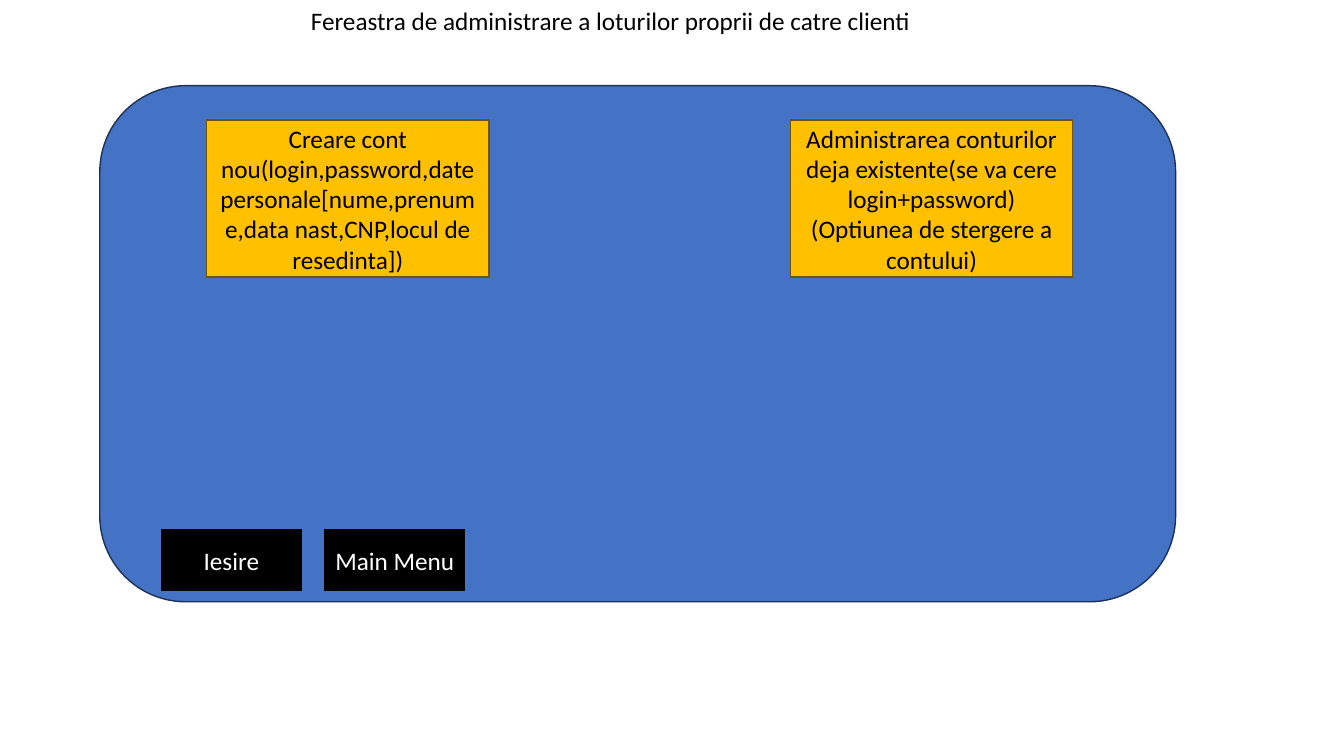
import pptx
import pptx.dml.color
import pptx.enum.shapes
import pptx.enum.text
import pptx.util

PX = 9144  # EMU per px, 100 px to the inch
HUES = {
    "black": "000000", "white": "FFFFFF", "blue": "4472C4",
    "navy": "1E3256", "gold": "FFC000", "brown": "705400",
}
KINDS = pptx.enum.shapes.MSO_SHAPE

deck = pptx.Presentation()
deck.slide_width = 1333 * PX
deck.slide_height = 750 * PX
slide = deck.slides.add_slide(deck.slide_layouts[6])


def rgb(hue):
    return pptx.dml.color.RGBColor.from_string(HUES[hue])


def write(text, box, kind=None, fill=None, line=None, hue="black"):
    """Add centred text in a shape of the given kind, or in a text box."""
    place = [n * PX for n in box]
    if kind is None:
        shape = slide.shapes.add_textbox(*place)
    else:
        shape = slide.shapes.add_shape(kind, *place)
        shape.shadow.inherit = False
        shape.fill.solid()
        shape.fill.fore_color.rgb = rgb(fill)
        shape.line.color.rgb = rgb(line)
        shape.line.width = pptx.util.Pt(1)
        shape.text_frame.vertical_anchor = pptx.enum.text.MSO_ANCHOR.MIDDLE
    frame = shape.text_frame
    frame.word_wrap = True
    frame.text = text
    for para in frame.paragraphs:
        para.alignment = pptx.enum.text.PP_ALIGN.CENTER
        para.font.name = "Calibri"
        para.font.size = pptx.util.Pt(18)
        para.font.color.rgb = rgb(hue)
    return shape


title = write("Fereastra de administrare a loturilor proprii de catre clienti",
              (272, 0, 667, 40))
title.text_frame.auto_size = pptx.enum.text.MSO_AUTO_SIZE.SHAPE_TO_FIT_TEXT

write("", (99, 85, 1067, 512), kind=KINDS.ROUNDED_RECTANGLE,
      fill="blue", line="navy")

cards = [
    (205, "Creare cont nou(login,password,date "
          "personale[nume,prenume,data nast,CNP,locul de resedinta])"),
    (784, "Administrarea conturilor deja existente(se va cere login+password)\n"
          "(Optiunea de stergere a contului)"),
]
for left, text in cards:
    write(text, (left, 119, 280, 156), kind=KINDS.RECTANGLE,
          fill="gold", line="brown")

for i, text in enumerate(["Iesire", "Main Menu"]):
    write(text, (160 + 162 * i, 525, 139, 61), kind=KINDS.RECTANGLE,
          fill="black", line="black", hue="white")

deck.save("out.pptx")
